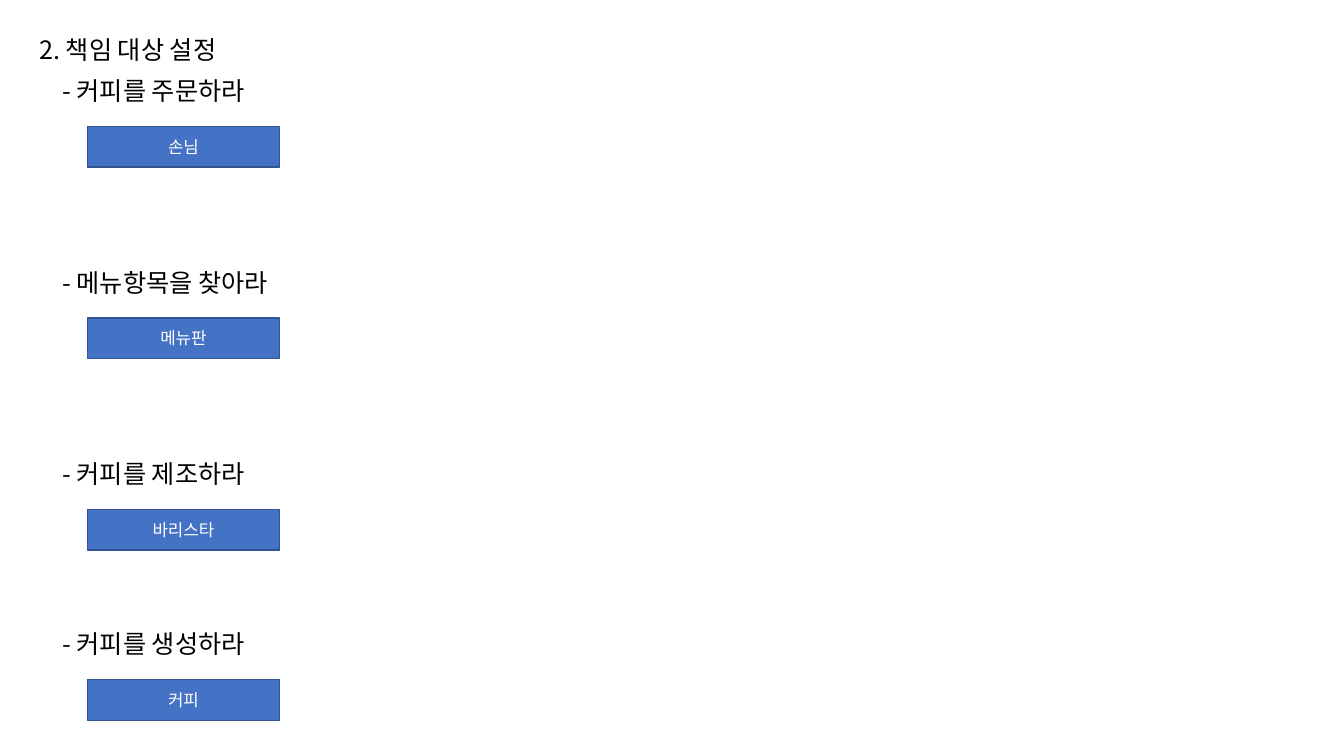
import pptx
import pptx.util
import pptx.dml.color
import pptx.enum.shapes
import pptx.enum.text
import pptx.oxml.ns
import lxml.etree

Cm = pptx.util.Cm
RGB = pptx.dml.color.RGBColor
BLACK = RGB(0x00, 0x00, 0x00)
WHITE = RGB(0xFF, 0xFF, 0xFF)
BLUE = RGB(0x44, 0x72, 0xC4)
NAVY = RGB(0x32, 0x54, 0x91)
FONT = "Noto Sans CJK KR"
HIGH = 1.02

# top, label width, message, role that answers it
TASKS = [
    (1.78, 5.72, "- 커피를 주문하라", "손님"),
    (6.6, 6.58, "- 메뉴항목을 찾아라", "메뉴판"),
    (11.43, 5.94, "- 커피를 제조하라", "바리스타"),
    (15.72, 5.94, "- 커피를 생성하라", "커피"),
]


def style(frame, text, size, color):
    frame.text = text
    run = frame.paragraphs[0].runs[0]
    run.font.size = pptx.util.Pt(size)
    run.font.color.rgb = color
    run.font.name = FONT
    # Hangul takes its typeface from the East Asian slot
    east = lxml.etree.SubElement(run.font._element, pptx.oxml.ns.qn("a:ea"))
    east.set("typeface", FONT)


def label(slide, left, top, width, text):
    box = slide.shapes.add_textbox(Cm(left), Cm(top), Cm(width), Cm(HIGH))
    frame = box.text_frame
    style(frame, text, 18, BLACK)
    frame.word_wrap = False
    frame.auto_size = pptx.enum.text.MSO_AUTO_SIZE.SHAPE_TO_FIT_TEXT


def role(slide, left, top, width, text):
    bar = slide.shapes.add_shape(
        pptx.enum.shapes.MSO_SHAPE.RECTANGLE,
        Cm(left), Cm(top), Cm(width), Cm(HIGH))
    bar.shadow.inherit = False
    bar.fill.solid()
    bar.fill.fore_color.rgb = BLUE
    bar.line.color.rgb = NAVY
    bar.line.width = pptx.util.Pt(1)
    frame = bar.text_frame
    style(frame, text, 12, WHITE)
    frame.vertical_anchor = pptx.enum.text.MSO_ANCHOR.MIDDLE
    frame.paragraphs[0].alignment = pptx.enum.text.PP_ALIGN.CENTER


def task(slide, left, top, width, text, name):
    """Place a message with the role in charge of it below."""
    label(slide, left, top, width, text)
    role(slide, left + 0.89, top + 1.41, 4.83, name)


def main():
    deck = pptx.Presentation()
    deck.slide_width = Cm(33.87)
    deck.slide_height = Cm(19.05)
    slide = deck.slides.add_slide(deck.slide_layouts[6])
    label(slide, 0.74, 0.74, 5.54, "2. 책임 대상 설정")
    for top, width, text, name in TASKS:
        task(slide, 1.32, top, width, text, name)
    deck.save("out.pptx")


if __name__ == "__main__":
    main()
